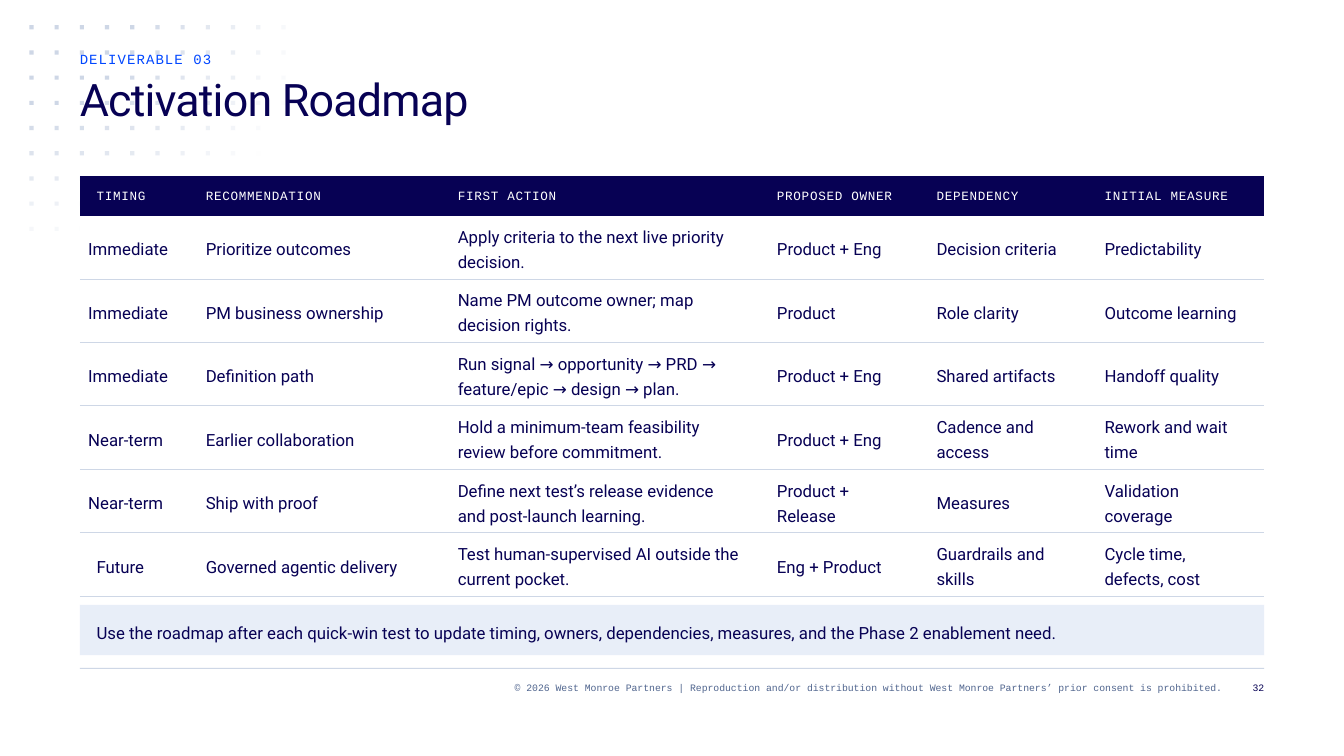
from lxml import etree
from pptx import Presentation
from pptx.dml.color import RGBColor
from pptx.enum.shapes import MSO_SHAPE
from pptx.enum.text import MSO_ANCHOR, PP_ALIGN
from pptx.oxml.ns import qn
from pptx.util import Pt

RECT = MSO_SHAPE.RECTANGLE
MIDDLE = MSO_ANCHOR.MIDDLE
LEFT, RIGHT = PP_ALIGN.LEFT, PP_ALIGN.RIGHT

# Content
KICKER = "DELIVERABLE 03"
TITLE = "Activation Roadmap"
HEADERS = ["TIMING", "RECOMMENDATION", "FIRST ACTION", "PROPOSED OWNER",
           "DEPENDENCY", "INITIAL MEASURE"]
ROADMAP = [
    ("Immediate", "Prioritize outcomes",
     "Apply criteria to the next live priority decision.",
     "Product + Eng", "Decision criteria", "Predictability"),
    ("Immediate", "PM business ownership",
     "Name PM outcome owner; map decision rights.",
     "Product", "Role clarity", "Outcome learning"),
    ("Immediate", "Definition path",
     "Run signal → opportunity → PRD → feature/epic → design → plan.",
     "Product + Eng", "Shared artifacts", "Handoff quality"),
    ("Near-term", "Earlier collaboration",
     "Hold a minimum-team feasibility review before commitment.",
     "Product + Eng", "Cadence and access", "Rework and wait time"),
    ("Near-term", "Ship with proof",
     "Define next test’s release evidence and post-launch learning.",
     "Product + Release", "Measures", "Validation coverage"),
    ("Future", "Governed agentic delivery",
     "Test human-supervised AI outside the current pocket.",
     "Eng + Product", "Guardrails and skills", "Cycle time, defects, cost"),
]
NOTE = ("Use the roadmap after each quick-win test to update timing, owners, "
        "dependencies, measures, and the Phase 2 enablement need.")
COPYRIGHT = ("© 2026 West Monroe Partners | Reproduction and/or distribution without "
             "West Monroe Partners’ prior consent is prohibited.")
PAGE = "32"

# Opacity of the dots in percent, one list per column from the top
DOT_OPACITY = [
    [100, 100, 100, 100, 85, 69, 52, 35, 18],
    [100, 100, 100, 100, 84, 67, 51, 34, 17],
    [100, 100, 100, 95, 80, 64, 48, 32, 15],
    [100, 100, 100, 87, 73, 59, 43, 28, 12],
    [98, 95, 88, 77, 65, 52, 37, 22, 7],
    [84, 81, 76, 67, 56, 43, 30, 16],
    [70, 68, 63, 55, 46, 34, 22, 8],
    [56, 55, 50, 43, 35, 24, 13],
    [42, 41, 37, 31, 23, 14, 3],
    [29, 27, 24, 18, 11, 2],
    [15, 14, 11, 6],
]

# Style and layout, in points
NAVY, BLUE, SLATE, RULE = "070154", "0047FF", "50658E", "CED7E6"
PALE, WHITE = "E8EEF8", "FFFFFF"
SANS, MONO = "Roboto", "Courier New"
MARGIN, WIDTH = 57, 846
COLUMNS = [78, 180, 228, 114, 120, 126]
TABLE_TOP, TABLE_H, HEADER_H = 126, 300, 28
ROW_H = (TABLE_H - HEADER_H) / len(ROADMAP)
DOT_LEFT, DOT_TOP, DOT_STEP, DOT_SIZE = 21, 18, 18, 3


def rgb(value):
    return RGBColor.from_string(value)


def style_paragraph(p, font, size, color, line, spacing=0, align=LEFT):
    p.alignment = align
    p.line_spacing = Pt(line)
    for r in p.runs:
        r.font.name = font
        r.font.size = Pt(size)
        r.font.color.rgb = rgb(color)
        if spacing:
            r._r.get_or_add_rPr().set("spc", str(round(spacing * 100)))


def add_text(slide, text, x, y, w, h, *style):
    tf = slide.shapes.add_textbox(Pt(x), Pt(y), Pt(w), Pt(h)).text_frame
    tf.margin_left = tf.margin_top = tf.margin_right = tf.margin_bottom = 0
    tf.word_wrap = True
    tf.text = text
    style_paragraph(tf.paragraphs[0], *style)


def add_rect(slide, x, y, w, h, color, opacity=100):
    sp = slide.shapes.add_shape(RECT, Pt(x), Pt(y), Pt(w), Pt(h))
    sp.shadow.inherit = False
    sp.fill.solid()
    sp.fill.fore_color.rgb = rgb(color)
    sp.line.fill.background()
    if opacity < 100:
        clr = sp._element.spPr.find(".//" + qn("a:srgbClr"))
        etree.SubElement(clr, qn("a:alpha")).set("val", str(opacity * 1000))


def set_borders(cell, ruled_sides):
    tc_pr = cell._tc.get_or_add_tcPr()
    for i, side in enumerate(("lnL", "lnR", "lnT", "lnB")):
        ln = etree.Element(qn("a:" + side))
        if side in ruled_sides:
            ln.set("w", str(Pt(0.75)))
            fill = etree.SubElement(ln, qn("a:solidFill"))
            etree.SubElement(fill, qn("a:srgbClr")).set("val", RULE)
        else:
            etree.SubElement(ln, qn("a:noFill"))
        tc_pr.insert(i, ln)


def add_roadmap(slide):
    rows = [HEADERS] + ROADMAP
    table = slide.shapes.add_table(len(rows), len(COLUMNS), Pt(MARGIN), Pt(TABLE_TOP),
                                   Pt(WIDTH), Pt(TABLE_H)).table
    table.horz_banding = False
    for i, width in enumerate(COLUMNS):
        table.columns[i].width = Pt(width)
    for i, row in enumerate(rows):
        header = i == 0
        table.rows[i].height = Pt(HEADER_H if header else ROW_H)
        # A rule under each body row, shared with the top of the next one
        ruled = [] if header else ["lnB"] if i == 1 else ["lnT", "lnB"]
        for j, text in enumerate(row):
            cell = table.cell(i, j)
            cell.text = text
            cell.vertical_anchor = MIDDLE
            cell.margin_left = cell.margin_right = Pt(
                6 if text in ("Immediate", "Near-term") else 12)
            cell.margin_top = cell.margin_bottom = 0
            cell.fill.solid()
            cell.fill.fore_color.rgb = rgb(NAVY if header else WHITE)
            set_borders(cell, ruled)
            style = (MONO, 9, WHITE, 12, 0.5) if header else (SANS, 12, NAVY, 18)
            style_paragraph(cell.text_frame.paragraphs[0], *style)


def main():
    prs = Presentation()
    prs.slide_width, prs.slide_height = Pt(960), Pt(540)
    slide = prs.slides.add_slide(prs.slide_layouts[6])

    # Footer rule and fading dot grid
    add_rect(slide, MARGIN, 477, WIDTH, 0.75, RULE)
    for i, column in enumerate(DOT_OPACITY):
        for j, opacity in enumerate(column):
            add_rect(slide, DOT_LEFT + i * DOT_STEP, DOT_TOP + j * DOT_STEP,
                     DOT_SIZE, DOT_SIZE, RULE, opacity)

    # Footer
    add_text(slide, COPYRIGHT, 171, 486, 702, 18, MONO, 7, SLATE, 9, 0, RIGHT)
    add_text(slide, PAGE, 879, 486, 24, 18, MONO, 7, NAVY, 9, 0, RIGHT)

    # Table and the note below it
    add_roadmap(slide)
    add_rect(slide, MARGIN, 432, WIDTH, 36, PALE)
    add_text(slide, NOTE, MARGIN + 12, 441, WIDTH - 24, 18, SANS, 12, NAVY, 18)

    # Heading
    add_text(slide, TITLE, MARGIN, 54, 738, 72, SANS, 32, NAVY, 36, -0.6)
    add_text(slide, KICKER, MARGIN, 36, 738, 18, MONO, 10, BLUE, 12, 0.8)

    prs.save("out.pptx")


if __name__ == "__main__":
    main()
